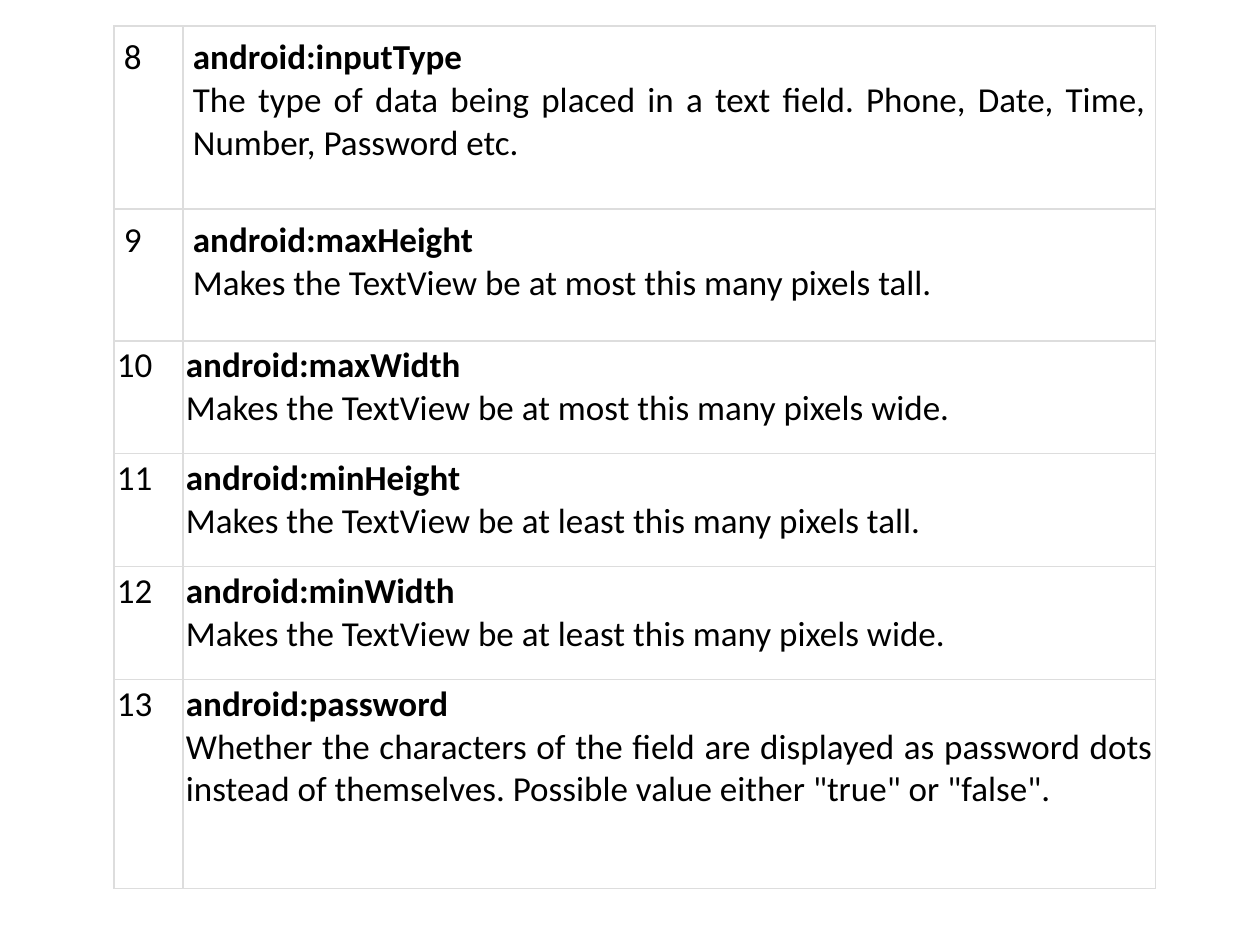
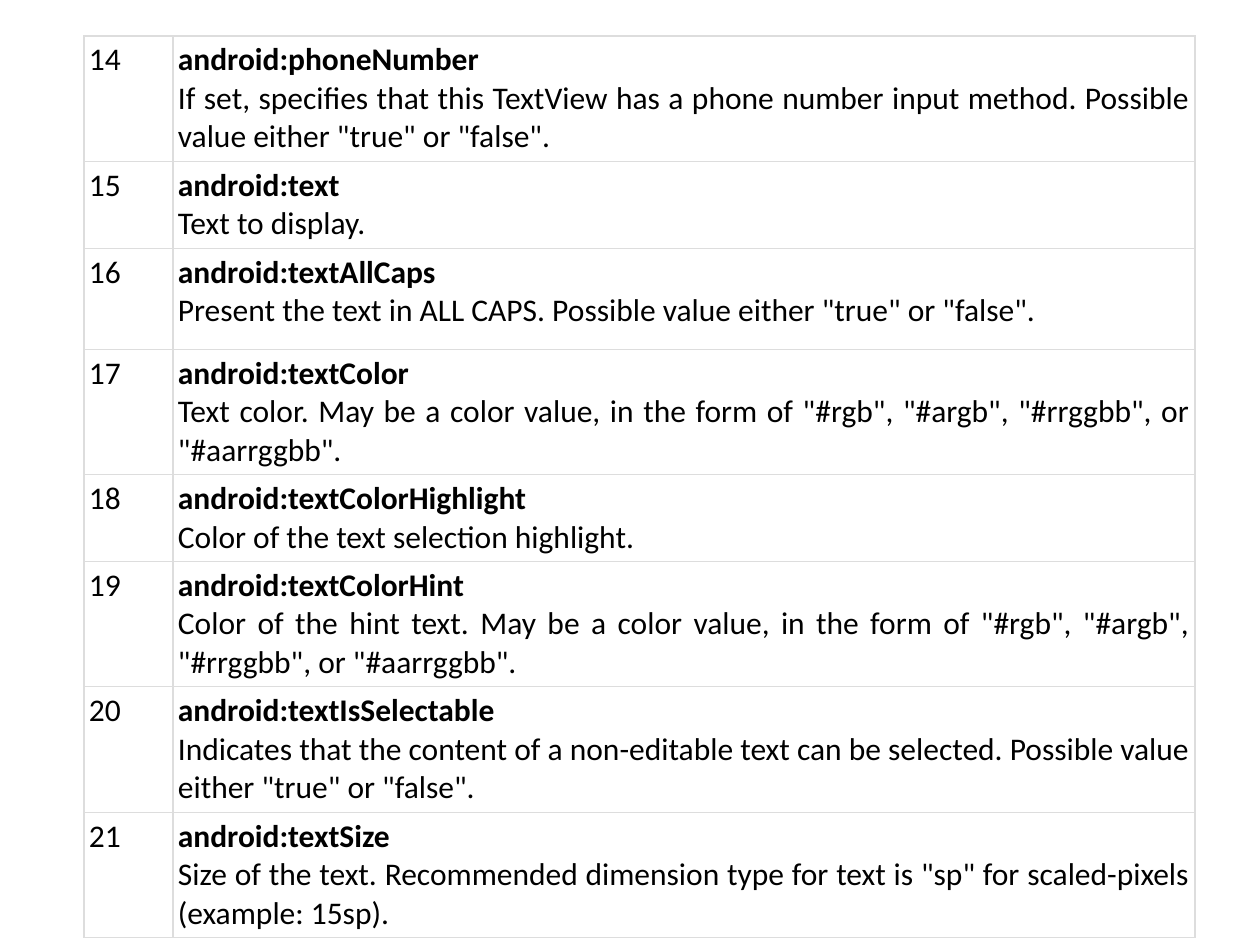
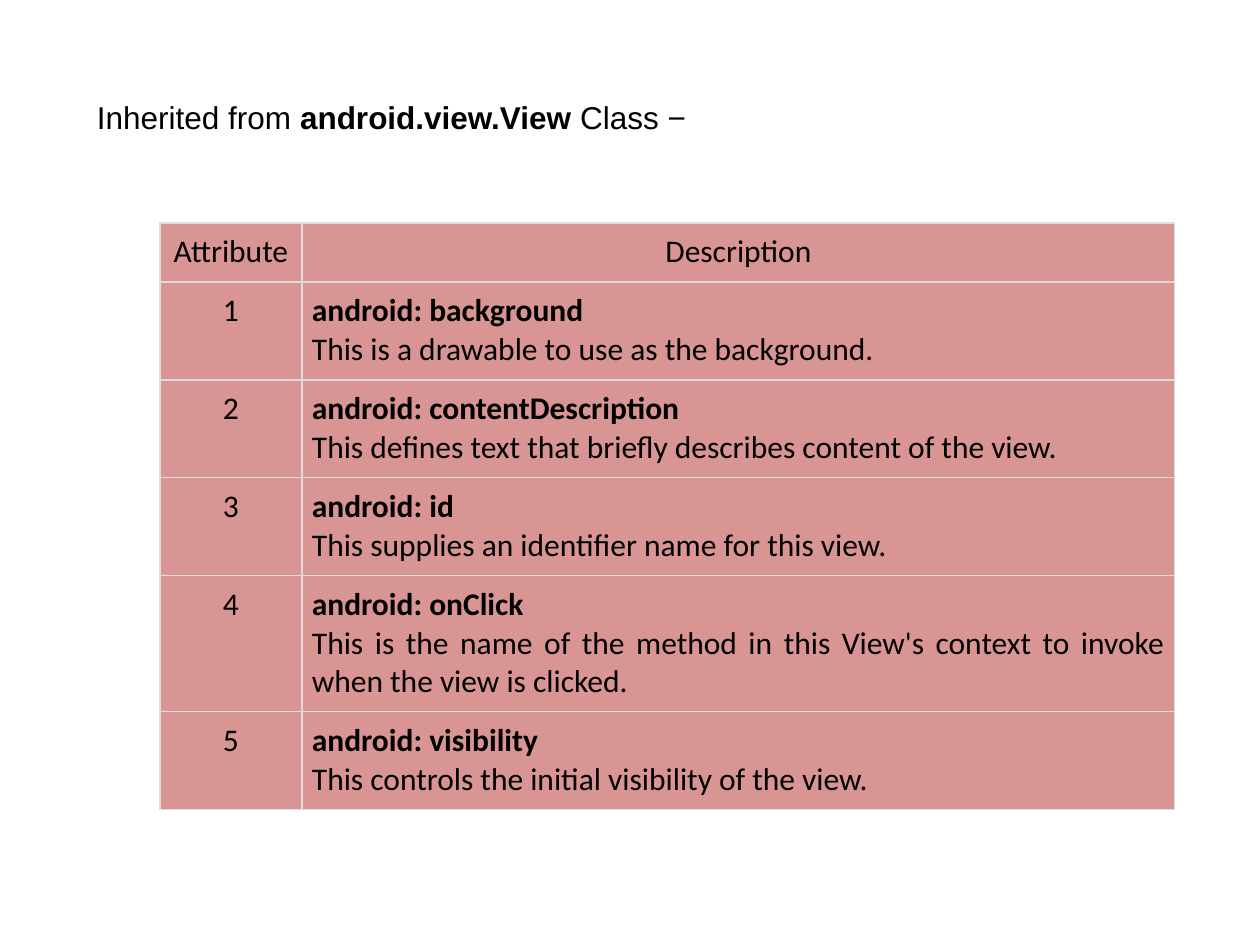
from pptx import Presentation
from pptx.dml.color import RGBColor
from pptx.enum.text import MSO_ANCHOR, MSO_AUTO_SIZE, PP_ALIGN
from pptx.oxml.ns import qn
from pptx.util import Emu, Pt
from lxml.etree import SubElement

PX = 914400 / 126
COLORS = {"text": "000000", "border": "DDDDDD", "rose": "D99593"}
TABLE_FONT, TITLE_FONT = "Calibri", "Arial"
BLANK, TITLE_ONLY = 6, 5

FIELD_ROWS = [
    ("8", "android:inputType", "The type of data being placed in a text field. Phone, Date, Time, Number, Password etc."),
    ("9", "android:maxHeight", "Makes the TextView be at most this many pixels tall."),
    ("10", "android:maxWidth", "Makes the TextView be at most this many pixels wide."),
    ("11", "android:minHeight", "Makes the TextView be at least this many pixels tall."),
    ("12", "android:minWidth", "Makes the TextView be at least this many pixels wide."),
    ("13", "android:password", 'Whether the characters of the field are displayed as password dots instead of themselves. Possible value either "true" or "false".'),
]
TEXT_ROWS = [
    ("14", "android:phoneNumber", 'If set, specifies that this TextView has a phone number input method. Possible value either "true" or "false".'),
    ("15", "android:text", "Text to display."),
    ("16", "android:textAllCaps", 'Present the text in ALL CAPS. Possible value either "true" or "false".'),
    ("17", "android:textColor", 'Text color. May be a color value, in the form of "#rgb", "#argb", "#rrggbb", or "#aarrggbb".'),
    ("18", "android:textColorHighlight", "Color of the text selection highlight."),
    ("19", "android:textColorHint", 'Color of the hint text. May be a color value, in the form of "#rgb", "#argb", "#rrggbb", or "#aarrggbb".'),
    ("20", "android:textIsSelectable", 'Indicates that the content of a non-editable text can be selected. Possible value either "true" or "false".'),
    ("21", "android:textSize", 'Size of the text. Recommended dimension type for text is "sp" for scaled-pixels (example: 15sp).'),
]
VIEW_ROWS = [
    ("Attribute", "Description"),
    ("1", "android: background", "This is a drawable to use as the background."),
    ("2", "android: contentDescription", "This defines text that briefly describes content of the view."),
    ("3", "android: id", "This supplies an identifier name for this view."),
    ("4", "android: onClick", "This is the name of the method in this View's context to invoke when the view is clicked."),
    ("5", "android: visibility", "This controls the initial visibility of the view."),
]


def px(length):
    return Emu(round(length * PX))


def format_span(span, font, size, bold=False):
    span.font.name = font
    span.font.size = Pt(size)
    span.font.bold = bold
    span.font.color.rgb = RGBColor.from_string(COLORS["text"])


def set_insets(holder, across, down):
    holder.margin_left = holder.margin_right = px(across)
    holder.margin_top = holder.margin_bottom = px(down)


def add_borders(cell):
    properties = cell._tc.get_or_add_tcPr()
    for side in ("lnL", "lnR", "lnT", "lnB"):
        line = SubElement(properties, qn(f"a:{side}"), w=str(Pt(0.75)))
        fill = SubElement(line, qn("a:solidFill"))
        SubElement(fill, qn("a:srgbClr"), val=COLORS["border"])


def fill_cell(cell, lines, align, size, inset, fill):
    add_borders(cell)
    set_insets(cell, inset, inset)
    if fill:
        cell.fill.solid()
        cell.fill.fore_color.rgb = RGBColor.from_string(COLORS[fill])
    else:
        cell.fill.background()
    cell.text_frame.text = "\n".join(lines)
    for index, para in enumerate(cell.text_frame.paragraphs):
        para.alignment = align
        format_span(para.runs[0], TABLE_FONT, size, len(lines) > 1 and index == 0)


def add_attribute_table(page, box, widths, heights, rows, size, insets,
                        number_align=PP_ALIGN.LEFT, fill=None):
    left, top = box
    frame = page.shapes.add_table(len(rows), len(widths), px(left), px(top),
                                  px(sum(widths)), px(sum(heights)))
    table = frame.table
    table.first_row = table.horz_banding = False
    for column, width in zip(table.columns, widths):
        column.width = px(width)
    for row, height, (number, *lines), inset in zip(table.rows, heights, rows, insets):
        row.height = px(height)
        number_cell, text_cell = row.cells
        text_align = PP_ALIGN.JUSTIFY if len(lines) > 1 else PP_ALIGN.CENTER
        fill_cell(number_cell, [number], number_align, size, inset, fill)
        fill_cell(text_cell, lines, text_align, size, inset, fill)


def place_title(page, box, parts):
    title = page.shapes.title
    title.left, title.top, title.width, title.height = map(px, box)
    frame = title.text_frame
    frame.auto_size = MSO_AUTO_SIZE.NONE
    frame.word_wrap = True
    frame.vertical_anchor = MSO_ANCHOR.MIDDLE
    set_insets(frame, 13, 6)
    para = frame.paragraphs[0]
    para.alignment = PP_ALIGN.JUSTIFY
    for text, bold in parts:
        span = para.add_run()
        span.text = text
        format_span(span, TITLE_FONT, 18, bold)


def add_page(deck, layout):
    return deck.slides.add_slide(deck.slide_layouts[layout])


def main():
    deck = Presentation()
    deck.slide_width, deck.slide_height = px(1260), px(945)

    add_attribute_table(add_page(deck, BLANK), (114, 26), (69, 973),
                        (183, 132, 113, 113, 113, 209), FIELD_ROWS, 20,
                        [10] * 2 + [3] * 4)

    add_attribute_table(add_page(deck, BLANK), (84, 36), (89, 1022),
                        (124, 87, 101, 124, 87, 125, 124, 125), TEXT_ROWS, 18,
                        [5] * len(TEXT_ROWS))

    view_page = add_page(deck, TITLE_ONLY)
    place_title(view_page, (84, 92, 1071, 50),
                [("Inherited from ", False), ("android.view.View", True), (" Class −", False)])
    add_attribute_table(view_page, (160, 223), (142, 873),
                        (59, 98, 98, 98, 136, 98), VIEW_ROWS, 18,
                        [10] * len(VIEW_ROWS), PP_ALIGN.CENTER, "rose")

    deck.save("out.pptx")


if __name__ == "__main__":
    main()
